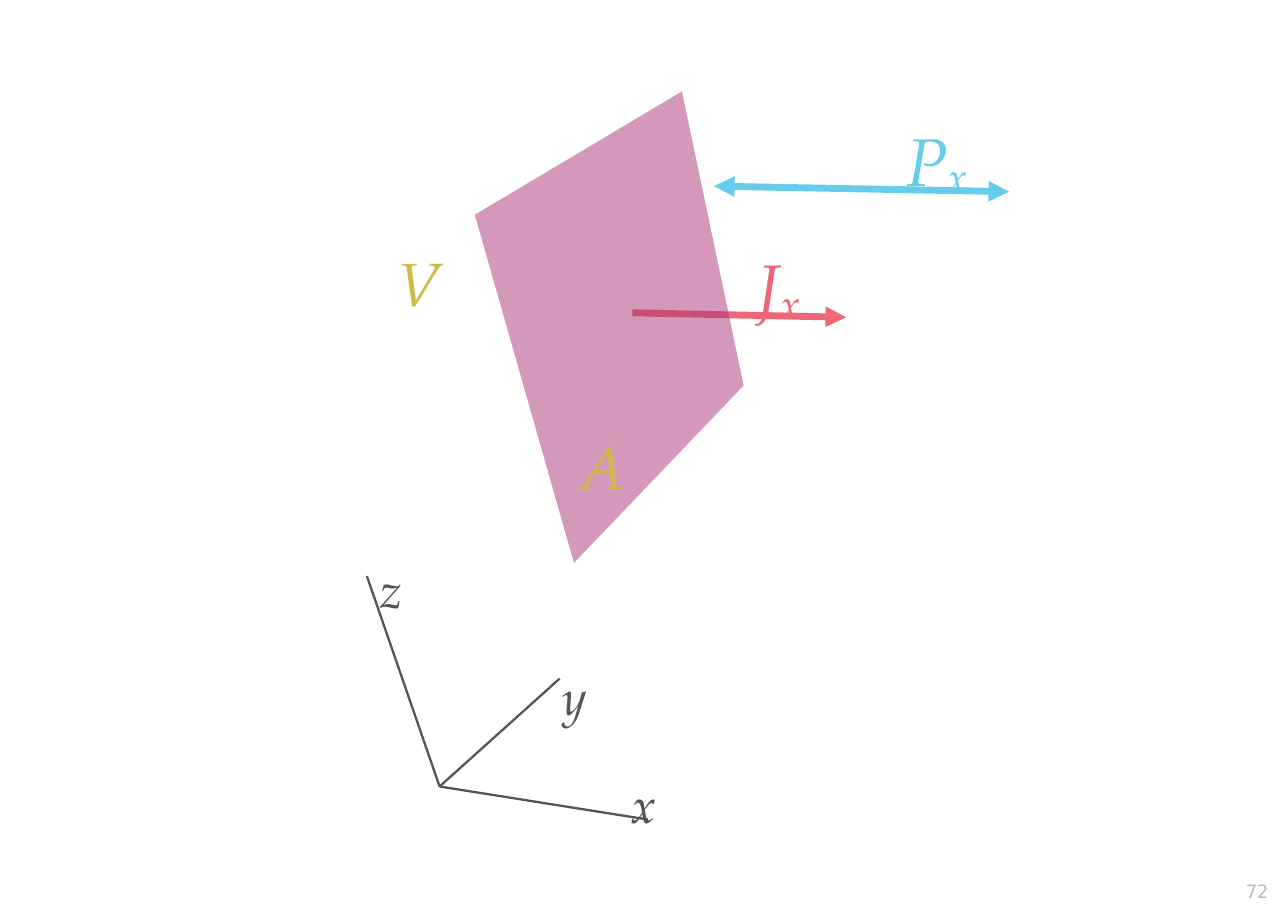
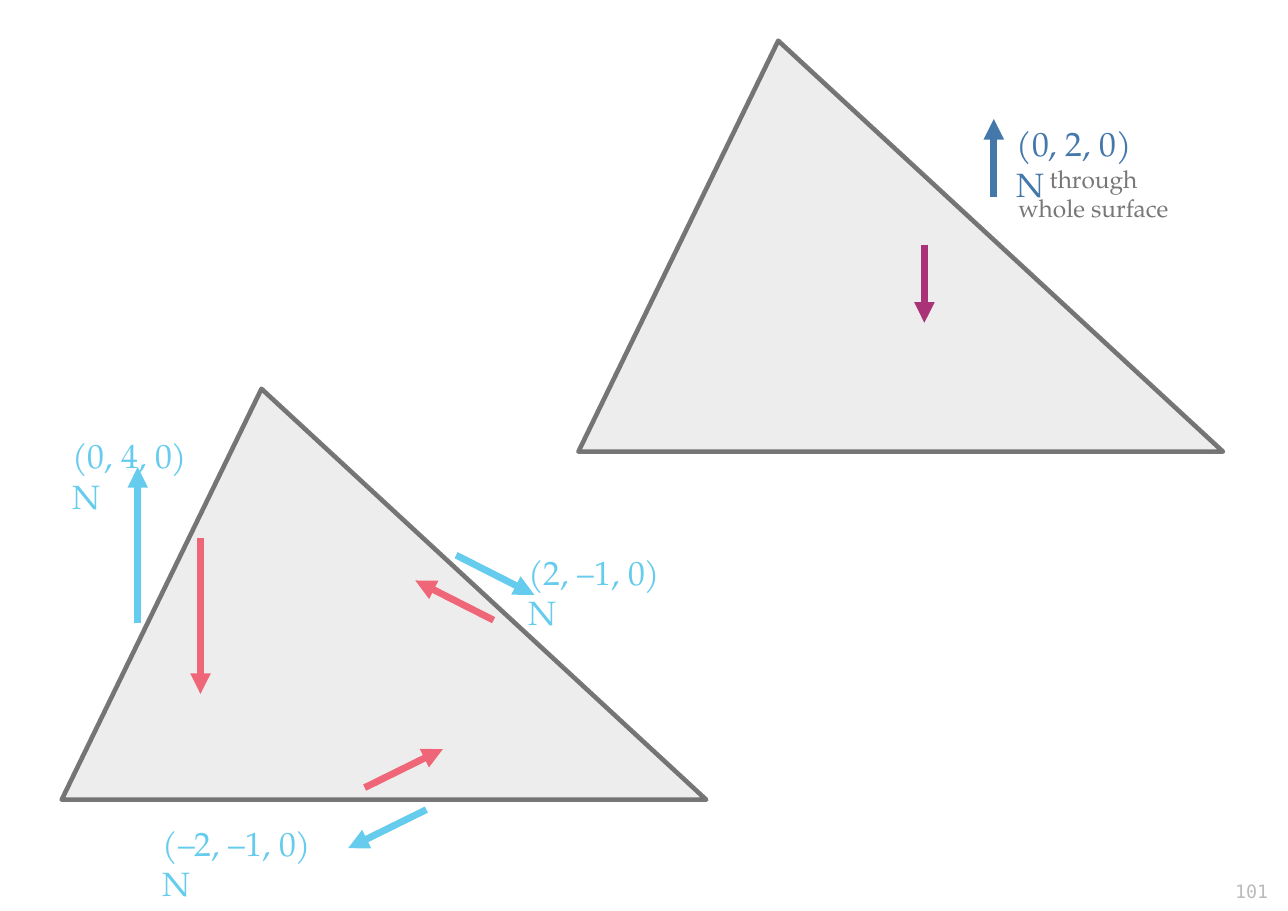
from lxml import etree
from pptx import Presentation
from pptx.dml.color import RGBColor
from pptx.enum.shapes import MSO_CONNECTOR, MSO_SHAPE
from pptx.enum.text import PP_ALIGN
from pptx.oxml.ns import qn
from pptx.util import Inches, Pt

STRAIGHT = MSO_CONNECTOR.STRAIGHT
TRIANGLE = MSO_SHAPE.ISOSCELES_TRIANGLE
LEFT, CENTER, RIGHT = PP_ALIGN.LEFT, PP_ALIGN.CENTER, PP_ALIGN.RIGHT

COLORS = {
    "cyan": "66CCEE", "red": "EE6677", "blue": "4477AA",
    "purple": "AA3377", "yellow": "CCBB44", "dark": "555555",
    "mid": "777777", "pale": "BBBBBB",
}
SERIF, MONO = "TeX Gyre Pagella", "DejaVu Sans Mono"


def rgb(name):
    return RGBColor.from_string(COLORS[name])


def paint(fill, color, alpha=100):
    """Make a solid fill with an opacity in percent."""
    fill.solid()
    fill.fore_color.rgb = rgb(color)
    if alpha < 100:
        tint = fill._xPr.find(qn("a:solidFill"))[0]
        etree.SubElement(tint, qn("a:alpha"), val=str(alpha * 1000))


def add_line(shapes, start, end, color, width=4.5, head=False, tail=True):
    ends = [Inches(v) for v in (*start, *end)]
    line = shapes.add_connector(STRAIGHT, *ends)
    paint(line.line.fill, color)
    line.line.width = Pt(width)
    for tag, used in (("a:headEnd", head), ("a:tailEnd", tail)):
        if used:
            etree.SubElement(line.line._ln, qn(tag), type="triangle")
    etree.SubElement(line._element.spPr, qn("a:effectLst"))


def add_text(shapes, box, lines, color, size, align=LEFT, wrap=True,
             sub=None, **style):
    """Write the lines as paragraphs, with an optional subscript at the end."""
    frame = shapes.add_textbox(*[Inches(v) for v in box]).text_frame
    frame.word_wrap = wrap
    frame.text = "\n".join(lines)
    if sub:
        run = frame.paragraphs[-1].add_run()
        run.text = sub
        run.font._element.set("baseline", "-8000")
    look = {"size": Pt(size), "name": SERIF, **style}
    for para in frame.paragraphs:
        para.alignment = align
        for run in para.runs:
            run.font.color.rgb = rgb(color)
            for key, value in look.items():
                setattr(run.font, key, value)


def add_axes(shapes):
    axes = shapes.add_group_shape().shapes
    origin = (3.99, 7.14)
    for name, end, spot in (
        ("z", (3.33, 5.23), (3.36, 5.03)),
        ("x", (5.88, 7.44), (5.63, 6.98)),
        ("y", (5.08, 6.16), (5.01, 6)),
    ):
        add_line(axes, origin, end, "dark", 1.5, tail=False)
        add_text(axes, (*spot, 0.27, 0.7), [name], "dark", 32, italic=True)


def add_plane(shapes, points):
    first, *rest = [(Inches(x), Inches(y)) for x, y in points]
    pen = shapes.build_freeform(*first)
    pen.add_line_segments(rest, close=True)
    plane = pen.convert_to_shape()
    plane.shadow.inherit = False
    paint(plane.fill, "purple", 50)
    plane.line.fill.background()


def add_body(shapes, left, top):
    """Draw one triangular body."""
    body = shapes.add_shape(TRIANGLE, Inches(left), Inches(top),
                            Inches(5.85), Inches(3.73))
    body.adjustments[0] = 0.31
    body.shadow.inherit = False
    paint(body.fill, "pale", 25)
    paint(body.line.fill, "dark", 80)
    body.line.width = Pt(3)
    etree.SubElement(body.line._ln, qn("a:round"))


def add_page(deck, number):
    shapes = deck.slides.add_slide(deck.slide_layouts[6]).shapes
    add_text(shapes, (10.61, 7.94, 1, 0.29), [number], "pale", 12, RIGHT,
             name=MONO)
    return shapes


def draw_flux(deck):
    shapes = add_page(deck, "72")
    add_axes(shapes)
    for name, box, color, start, end, head in (
        ("P", (8.13, 1.03, 0.75, 0.93), "cyan", (6.48, 1.69), (9.16, 1.74), True),
        ("J", (6.78, 2.18, 0.58, 0.93), "red", (5.74, 2.84), (7.68, 2.88), False),
    ):
        add_text(shapes, box, [name], color, 44, wrap=False, sub="x", italic=True)
        add_line(shapes, start, end, color, head=head)
    add_plane(shapes, [(6.19, 0.83), (4.31, 1.95), (5.21, 5.11), (6.75, 3.5)])
    for name, left, top in (("V", 3.51, 2.18), ("A", 5.17, 3.85)):
        add_text(shapes, (left, top, 0.6, 0.86), [name], "yellow", 40, RIGHT,
                 italic=True)


def draw_forces(deck):
    shapes = add_page(deck, "101")
    for spot in ((0.56, 3.53), (5.25, 0.37)):
        add_body(shapes, *spot)
    for color, start, end in (
        ("cyan", (1.25, 5.66), (1.25, 4.24)),
        ("cyan", (4.14, 5.04), (4.85, 5.4)),
        ("cyan", (3.87, 7.35), (3.16, 7.7)),
        ("red", (4.48, 5.63), (3.77, 5.27)),
        ("red", (1.82, 4.88), (1.82, 6.3)),
        ("red", (3.31, 7.15), (4.02, 6.8)),
        ("blue", (9.02, 1.79), (9.02, 1.08)),
        ("purple", (8.39, 2.22), (8.39, 2.93)),
    ):
        add_line(shapes, start, end, color)
    for label, left, top, width, color in (
        ("(0, 4, 0) N", 0.56, 3.9, 1.4, "cyan"),
        ("(2, –1, 0) N", 4.7, 4.96, 1.55, "cyan"),
        ("(–2, –1, 0) N", 1.38, 7.42, 1.7, "cyan"),
        ("(0, 2, 0) N", 9.13, 1.07, 1.4, "blue"),
    ):
        add_text(shapes, (left, top, width, 0.52), [label], color, 22)
    add_text(shapes, (9.1, 1.44, 1.65, 0.7), ["through", "whole surface"],
             "mid", 16, CENTER)


def main():
    deck = Presentation()
    deck.slide_width, deck.slide_height = Inches(11.69), Inches(8.27)
    draw_flux(deck)
    draw_forces(deck)
    deck.save("out.pptx")


if __name__ == "__main__":
    main()
